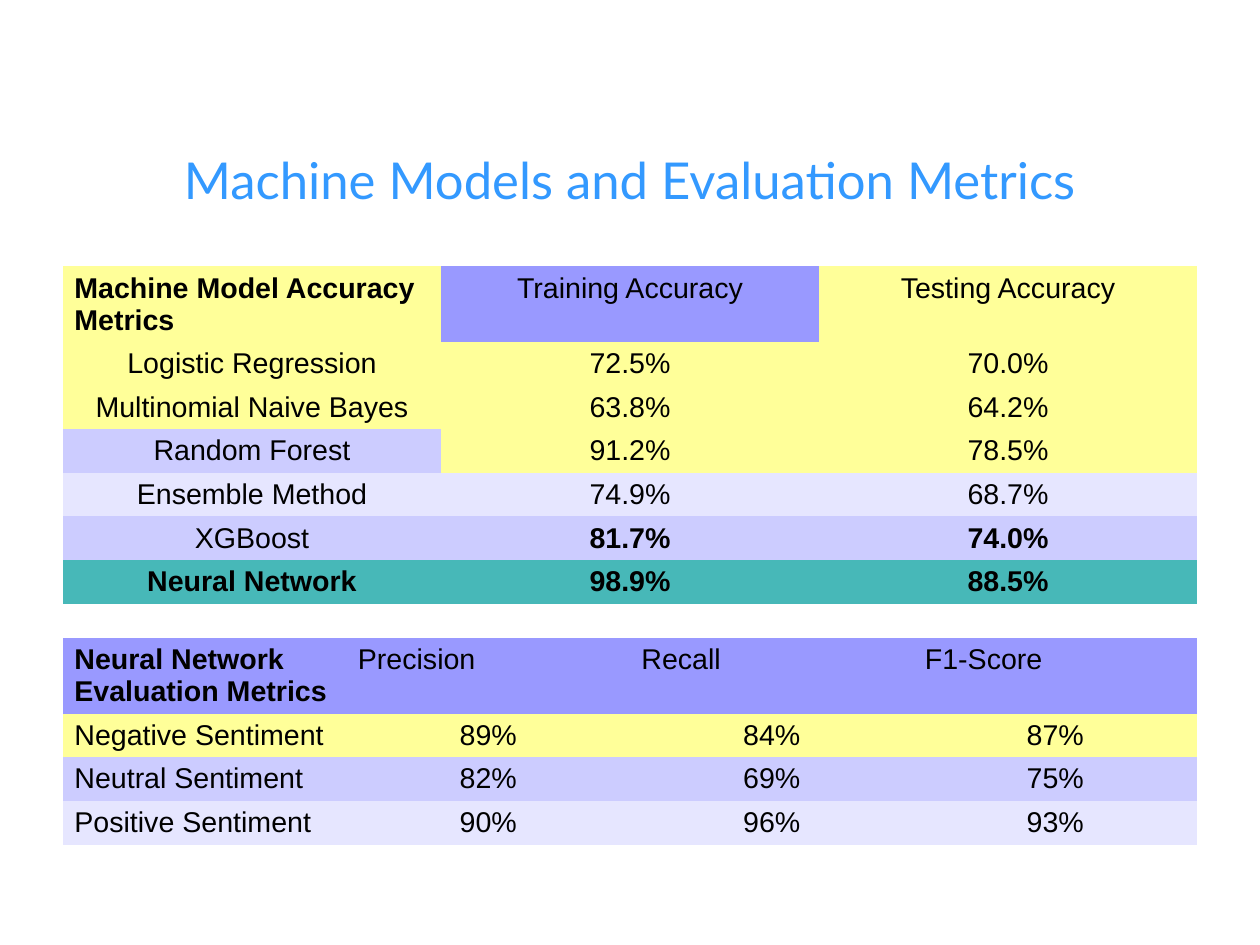
from pptx import Presentation
from pptx import util as u
from pptx.dml.color import RGBColor
from pptx.enum import text as t
from pptx.oxml.ns import qn

BLACK = RGBColor(0x00, 0x00, 0x00)
TITLE_BLUE = RGBColor(0x33, 0x99, 0xFF)
YELLOW = RGBColor(0xFF, 0xFF, 0x99)
VIOLET = RGBColor(0x99, 0x99, 0xFF)
LAVENDER = RGBColor(0xCC, 0xCC, 0xFF)
PALE = RGBColor(0xE6, 0xE6, 0xFF)
TEAL = RGBColor(0x47, 0xB8, 0xB8)

LEFT, CENTER = t.PP_ALIGN.LEFT, t.PP_ALIGN.CENTER
NO_STYLE = "{2D5ABB26-0587-4C30-8999-92F81FD0307C}"
HEADER_HEIGHT, ROW_HEIGHT = u.Cm(1.67), u.Cm(0.97)

# Each row: texts, fills
ACCURACY = [
    (["Machine Model Accuracy Metrics", "Training Accuracy", "Testing Accuracy"],
     [YELLOW, VIOLET, YELLOW]),
    (["Logistic Regression", "72.5%", "70.0%"], [YELLOW] * 3),
    (["Multinomial Naive Bayes", "63.8%", "64.2%"], [YELLOW] * 3),
    (["Random Forest", "91.2%", "78.5%"], [LAVENDER, YELLOW, YELLOW]),
    (["Ensemble Method", "74.9%", "68.7%"], [PALE] * 3),
    (["XGBoost", "81.7%", "74.0%"], [LAVENDER] * 3),
    (["Neural Network", "98.9%", "88.5%"], [TEAL] * 3),
]
ACCURACY_BOLD = {(0, 0), (5, 1), (5, 2), (6, 0), (6, 1), (6, 2)}

SENTIMENT = [
    (["Neural Network Evaluation Metrics", "Precision", "Recall", "F1-Score"], [VIOLET] * 4),
    (["Negative Sentiment", "89%", "84%", "87%"], [YELLOW] * 4),
    (["Neutral Sentiment", "82%", "69%", "75%"], [LAVENDER] * 4),
    (["Positive Sentiment", "90%", "96%", "93%"], [PALE] * 4),
]
SENTIMENT_BOLD = {(0, 0)}


def write_text(frame, text, font="Arial", size=18, color=BLACK, bold=False, align=CENTER):
    paragraph = frame.paragraphs[0]
    paragraph.alignment = align
    run = paragraph.add_run()
    run.text = text
    run.font.name = font
    run.font.size = u.Pt(size)
    run.font.bold = bold
    run.font.color.rgb = color


def add_title(slide, left, top, width, height):
    title = slide.shapes.title
    title.left, title.top, title.width, title.height = left, top, width, height
    frame = title.text_frame
    frame.margin_left = frame.margin_right = frame.margin_top = frame.margin_bottom = 0
    frame.vertical_anchor = t.MSO_ANCHOR.MIDDLE
    frame.word_wrap = True
    write_text(frame, "Machine Models and Evaluation Metrics",
               font="Lato", size=32, color=TITLE_BLUE)


def add_metrics_table(slide, left, top, width, rows, bold_cells, is_left):
    columns = len(rows[0][0])
    height = HEADER_HEIGHT + ROW_HEIGHT * (len(rows) - 1)
    table = slide.shapes.add_table(len(rows), columns, left, top, width, height).table
    table.first_row = table.horz_banding = False
    # Plain style without borders
    table._tbl.tblPr.find(qn("a:tableStyleId")).text = NO_STYLE

    for column in table.columns:
        column.width = width // columns
    for row_index, (texts, fills) in enumerate(rows):
        table.rows[row_index].height = ROW_HEIGHT if row_index else HEADER_HEIGHT
        for column_index, (text, fill) in enumerate(zip(texts, fills)):
            cell = table.cell(row_index, column_index)
            cell.fill.solid()
            cell.fill.fore_color.rgb = fill
            write_text(cell.text_frame, text,
                       bold=(row_index, column_index) in bold_cells,
                       align=LEFT if is_left(row_index, column_index) else CENTER)


def main():
    presentation = Presentation()
    presentation.slide_width, presentation.slide_height = u.Cm(28), u.Cm(21)
    slide = presentation.slides.add_slide(presentation.slide_layouts[5])
    left, width = u.Cm(1.4), u.Cm(25.2)

    add_title(slide, left, u.Cm(2.24), width, u.Cm(3.5))
    # Accuracy of all models: only the corner cell is left-aligned
    add_metrics_table(slide, left, u.Cm(5.92), width, ACCURACY, ACCURACY_BOLD,
                      lambda row, column: row == column == 0)
    # Scores by sentiment: header row and first column are left-aligned
    add_metrics_table(slide, left, u.Cm(14.18), width, SENTIMENT, SENTIMENT_BOLD,
                      lambda row, column: row == 0 or column == 0)

    presentation.save("out.pptx")


if __name__ == "__main__":
    main()
